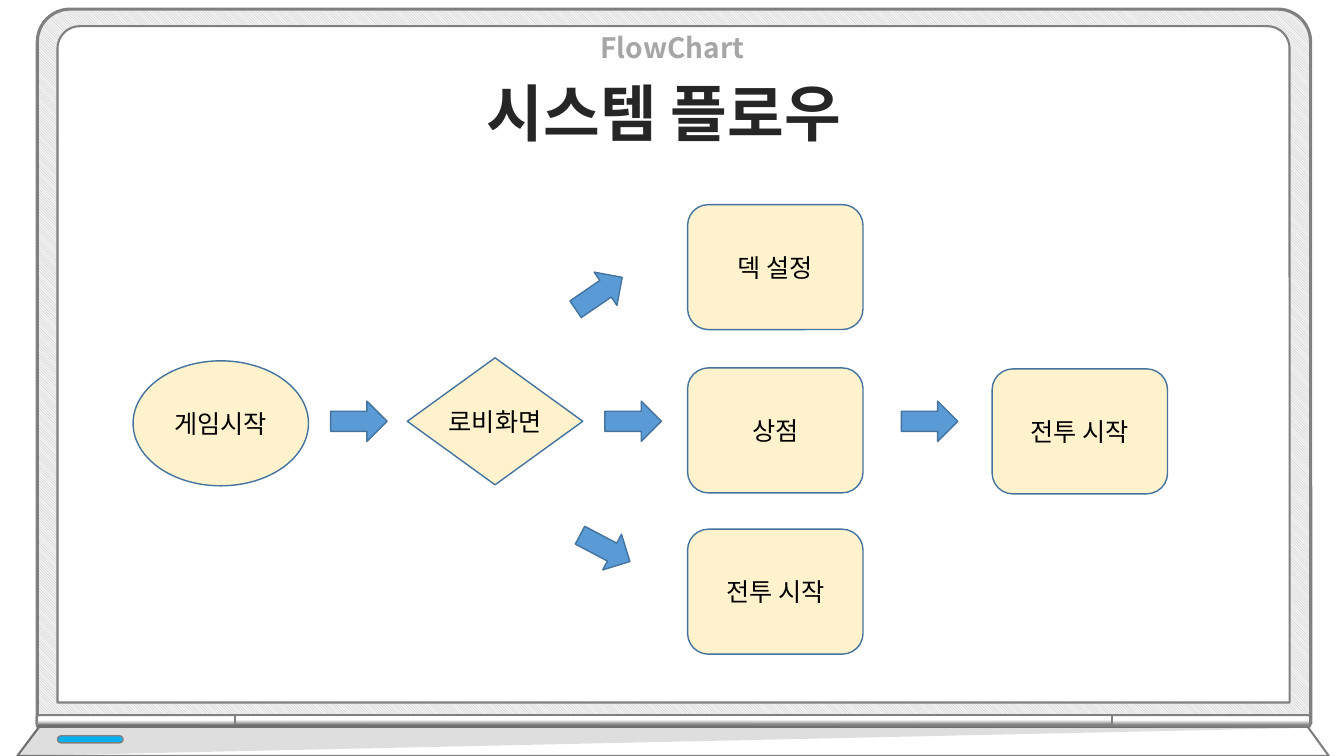
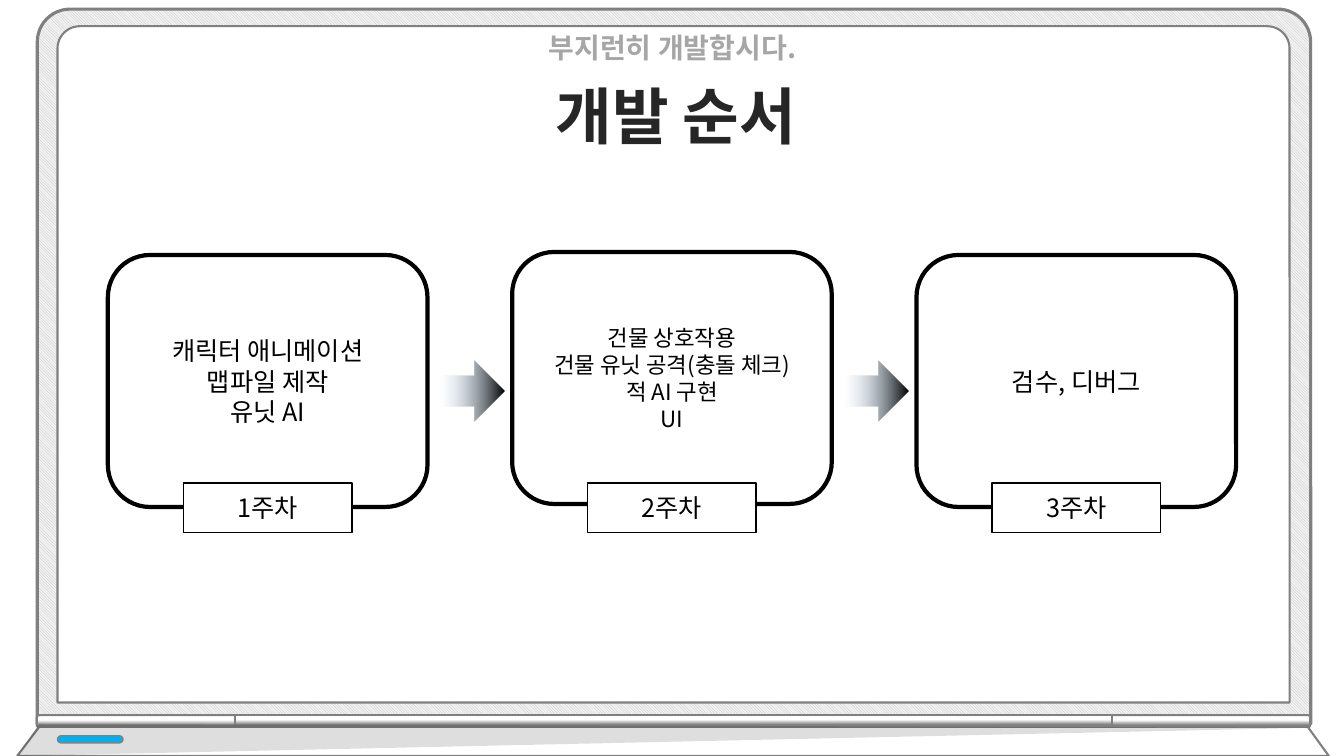
"""Build two slides on a laptop frame: a system flow and a weekly development order."""
from lxml import etree
from pptx import Presentation
from pptx import util as u
from pptx.dml import color
from pptx.enum import dml, shapes, text
from pptx.oxml import ns

Inches = u.Inches
Kind = shapes.MSO_SHAPE
FONT = "Noto Sans CJK KR"
COLORS = {
    "white": "FFFFFF", "black": "000000", "title": "262626", "tagline": "A6A6A6",
    "edge": "808080", "hatch": "BFBFBF", "bezel": "F2F2F2", "light": "00B0F0",
    "node": "FFF2CC", "arrow": "5B9BD5", "outline": "43739E", "fade": "B5D2EC",
}


def rgb(name):
    """Return the named palette colour."""
    return color.RGBColor.from_string(COLORS[name])


def set_alpha(parent, name, percent):
    """Give the colour called name inside parent an opacity."""
    for node in parent.iter(ns.qn("a:srgbClr")):
        if node.get("val") == COLORS[name]:
            etree.SubElement(node, ns.qn("a:alpha")).set("val", str(percent * 1000))


class SlideMaker:
    """Hold the shared style and the current slide."""

    def __init__(self):
        """Start a widescreen deck."""
        self.deck = Presentation()
        self.deck.slide_width = Inches(13.33)
        self.deck.slide_height = Inches(7.5)
        self.layout = self.deck.slide_layouts[5]
        self.page = None

    def add_page(self, title, left, top, tagline):
        """Add a slide with its title and the grey line above it."""
        self.page = self.deck.slides.add_slide(self.layout)
        heading = self.page.shapes.title
        heading.left, heading.top = Inches(left), Inches(top)
        heading.width, heading.height = Inches(9.49), Inches(0.84)
        self.paint(heading, "white")
        self.set_text(heading, [title], 44, "title", True, text.MSO_ANCHOR.TOP)
        box = self.page.shapes.add_textbox(Inches(3.67), Inches(0.25), Inches(6), Inches(0.44))
        self.set_text(box, [tagline], 20, "tagline", True, text.MSO_ANCHOR.TOP)

    def paint(self, shape, fill=None, line=None, weight=1):
        """Set a plain fill and outline."""
        if fill:
            shape.fill.solid()
            shape.fill.fore_color.rgb = rgb(fill)
        else:
            shape.fill.background()
        if line:
            shape.line.color.rgb = rgb(line)
            shape.line.width = u.Pt(weight)
        else:
            shape.line.fill.background()

    def set_text(self, shape, lines, size=18, ink="black", bold=False,
                 anchor=text.MSO_ANCHOR.MIDDLE, wrap=True):
        """Put centred paragraphs into a shape."""
        frame = shape.text_frame
        frame.word_wrap = wrap
        frame.auto_size = text.MSO_AUTO_SIZE.NONE
        frame.vertical_anchor = anchor
        frame.text = "\n".join(lines)
        for para in frame.paragraphs:
            para.alignment = text.PP_ALIGN.CENTER
            para.font.name = FONT
            para.font.size = u.Pt(size)
            para.font.bold = bold
            para.font.color.rgb = rgb(ink)
        for latin in list(shape.element.iter(ns.qn("a:latin"))):
            east_asian = etree.Element(ns.qn("a:ea"))
            east_asian.set("typeface", FONT)
            latin.addnext(east_asian)

    def add_shape(self, kind, left, top, width, height, fill=None, line=None,
                  weight=1, turn=0, corners=()):
        """Add a preset shape."""
        shape = self.page.shapes.add_shape(
            kind, Inches(left), Inches(top), Inches(width), Inches(height))
        shape.shadow.inherit = False
        shape.rotation = turn
        for index, corner in enumerate(corners):
            shape.adjustments[index] = corner
        self.paint(shape, fill, line, weight)
        return shape

    def add_outline(self, points, fill, line=None, weight=1.5):
        """Add a closed polygon."""
        start, *rest = [(Inches(x), Inches(y)) for x, y in points]
        builder = self.page.shapes.build_freeform(*start)
        builder.add_line_segments(rest, close=True)
        shape = builder.convert_to_shape()
        shape.shadow.inherit = False
        self.paint(shape, fill, line, weight)
        return shape

    def fade(self, shape, angle, stops):
        """Fill a shape with a two-colour gradient."""
        shape.fill.gradient()
        shape.fill.gradient_angle = angle
        for stop, (position, name) in zip(shape.fill.gradient_stops, stops):
            stop.position = position
            stop.color.rgb = rgb(name)

    def add_frame(self):
        """Draw the laptop and place it on the shared layout."""
        rounded = Kind.ROUND_2_SAME_RECTANGLE
        bezel = self.add_shape(rounded, 0.37, 0.09, 12.63, 7.09, "bezel", "edge", 2.25,
                               corners=(0.046, 0))
        bezel.fill.patterned()
        bezel.fill.pattern = dml.MSO_PATTERN.LIGHT_DOWNWARD_DIAGONAL
        bezel.fill.fore_color.rgb = rgb("hatch")
        bezel.fill.back_color.rgb = rgb("bezel")
        parts = [bezel, self.add_shape(rounded, 0.57, 0.26, 12.22, 6.71, "white", "edge", 1.5,
                                       corners=(0.033, 0))]
        for left, top, length, turn, angle, corner in (
                (1.29, 6.17, 1.97, 270, 0, 0.193),
                (11.95, 6.17, 1.97, 90, 180, 0.193),
                (6.62, 2.8, 8.7, 270, 0, 0)):
            hinge = self.add_shape(rounded, left, top, 0.12, length, "white", "edge", 1.5,
                                   turn, (corner, 0))
            self.fade(hinge, angle, ((0.17, "edge"), (0.59, "white")))
            parts.append(hinge)
        parts.append(self.add_outline(
            ((0.39, 7.21), (12.97, 7.21), (13.18, 7.5), (0.17, 7.5)), "white", "edge"))
        shade = self.add_outline(((0.39, 7.18), (0.17, 7.5), (13.02, 7.22)), "black")
        set_alpha(shade.element, "black", 13)
        parts.append(shade)
        parts.append(self.add_shape(Kind.ROUNDED_RECTANGLE, 0.57, 7.3, 0.65, 0.07,
                                    "light", "edge", corners=(0.5,)))
        for number, part in enumerate(parts, 100):
            part.element.nvSpPr.cNvPr.set("id", str(number))
            self.layout.shapes.element.append(part.element)

    def add_node(self, kind, left, top, label, height=1.24):
        """Add a labelled step of the flow."""
        node = self.add_shape(kind, left, top, 1.74, height, "node", "outline")
        self.set_text(node, [label], wrap=False)

    def add_arrow(self, left, top, turn=0):
        """Add a blue block arrow."""
        self.add_shape(Kind.RIGHT_ARROW, left, top, 0.56, 0.4, "arrow", "outline", turn=turn)

    def add_fading_arrow(self, left):
        """Add an arrow that fades out towards its tail."""
        arrow = self.add_shape(Kind.RIGHT_ARROW, left, 3.58, 0.76, 0.6)
        self.fade(arrow, 180, ((0, "black"), (0.83, "fade")))
        set_alpha(arrow.element, "fade", 0)

    def add_week(self, left, top, lines, size, label):
        """Add a card of tasks with its week label."""
        card = self.add_shape(Kind.ROUNDED_RECTANGLE, left, top, 3.17, 2.5, None, "black", 3)
        self.set_text(card, lines, size)
        tag = self.add_shape(Kind.RECTANGLE, left + 0.75, 4.79, 1.67, 0.49, "white", "black")
        self.set_text(tag, [label])


def main():
    """Build and save the deck."""
    maker = SlideMaker()

    maker.add_page("시스템 플로우", 1.84, 0.69, "FlowChart")
    maker.add_frame()
    maker.add_node(Kind.OVAL, 1.32, 3.58, "게임시작")
    maker.add_node(Kind.DIAMOND, 4.04, 3.55, "로비화면", 1.26)
    for left, top, label in ((6.82, 2.03, "덱 설정"), (6.82, 3.65, "상점"),
                             (6.82, 5.25, "전투 시작"), (9.84, 3.66, "전투 시작")):
        maker.add_node(Kind.ROUNDED_RECTANGLE, left, top, label)
    for left in (3.28, 6, 8.94):
        maker.add_arrow(left, 3.98)
    maker.add_arrow(5.66, 2.71, 325.6)
    maker.add_arrow(5.72, 5.24, 27.8)

    maker.add_page("개발 순서", 1.96, 0.72, "부지런히 개발합시다.")
    weeks = (
        (2.53, 18, ["캐릭터 애니메이션", "맵파일 제작", "유닛 AI"]),
        (2.5, 16, ["건물 상호작용", "건물 유닛 공격(충돌 체크)", "적 AI 구현", "UI"]),
        (2.53, 18, ["검수, 디버그"]),
    )
    for index, (top, size, lines) in enumerate(weeks):
        left = 1.07 + 4.01 * index
        maker.add_week(left, top, lines, size, f"{index + 1}주차")
        if index < len(weeks) - 1:
            maker.add_fading_arrow(left + 3.17)

    maker.deck.save("out.pptx")


if __name__ == "__main__":
    main()
